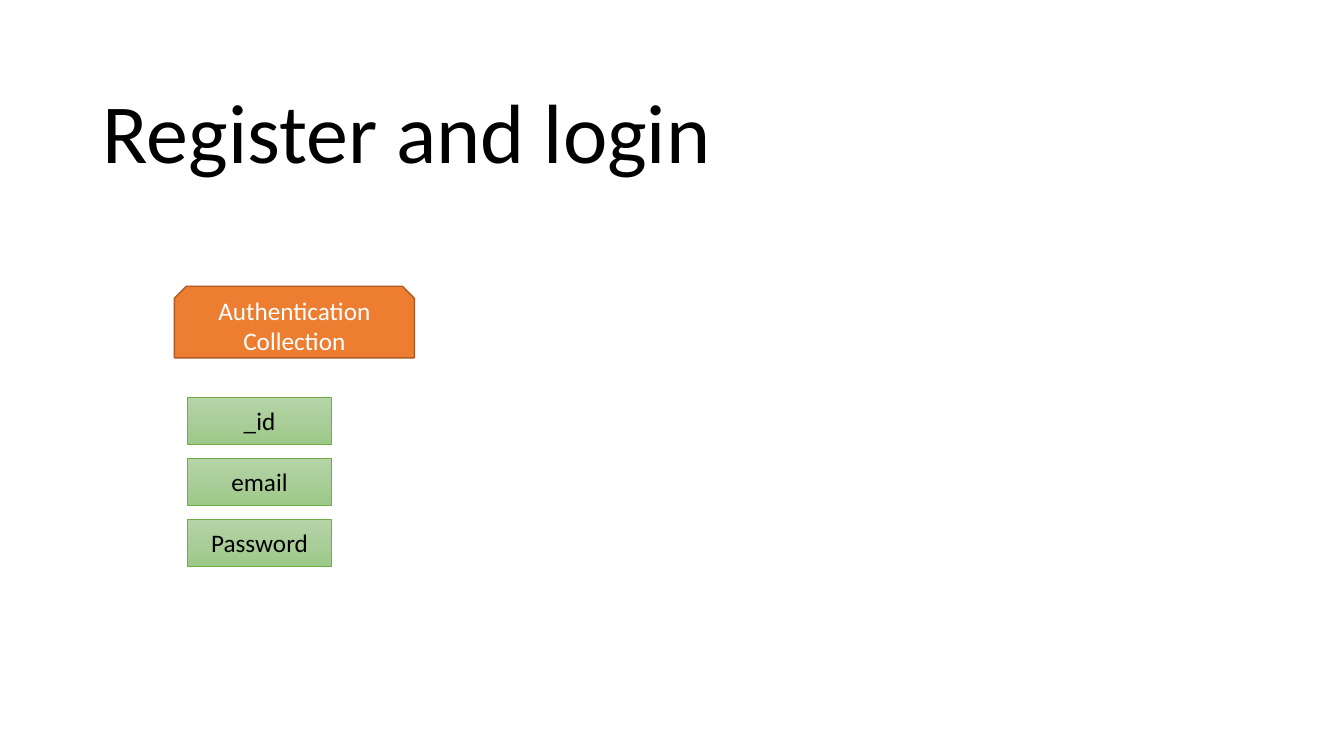
from copy import deepcopy

from pptx import Presentation
from pptx.dml.color import RGBColor
from pptx.enum.shapes import MSO_SHAPE
from pptx.enum.text import MSO_ANCHOR, PP_ALIGN
from pptx.oxml.ns import qn
from pptx.util import Inches, Pt

FIELD_STOPS = ((0, "B5D5A7"), (0.5, "AACE9A"), (1, "9CC987"))


def color(hex_code):
    """Turn a hex string into a colour."""
    return RGBColor.from_string(hex_code)


def write(shape, text, size, hex_code, anchor, align):
    """Put one styled paragraph into a shape and return it."""
    frame = shape.text_frame
    frame.word_wrap = True
    frame.vertical_anchor = anchor
    paragraph = frame.paragraphs[0]
    paragraph.text = text
    paragraph.alignment = align
    paragraph.font.name = "Calibri"
    paragraph.font.size = Pt(size)
    paragraph.font.color.rgb = color(hex_code)
    return paragraph


def add_label(slide, kind, box, text, text_color, line_color, line_width):
    """Add an outlined shape with a centred label."""
    label = slide.shapes.add_shape(kind, *map(Inches, box))
    label.shadow.inherit = False
    label.line.color.rgb = color(line_color)
    label.line.width = Pt(line_width)
    write(label, text, 18, text_color, MSO_ANCHOR.MIDDLE, PP_ALIGN.CENTER)
    return label


def shade(shape, stops):
    """Fill a shape with a three-stop gradient from top to bottom."""
    shape.fill.gradient()
    shape.fill.gradient_angle = 270
    stop_list = shape.fill._xPr.find(".//" + qn("a:gsLst"))
    stop_list.insert(1, deepcopy(stop_list[0]))
    for stop, (position, hex_code) in zip(shape.fill.gradient_stops, stops):
        stop.position = position
        stop.color.rgb = color(hex_code)


def add_title(slide, box, text):
    """Add the slide title, resting on the bottom of its box."""
    title = slide.shapes.add_textbox(*map(Inches, box))
    paragraph = write(title, text, 60, "000000", MSO_ANCHOR.BOTTOM, PP_ALIGN.LEFT)
    paragraph.line_spacing = 0.9


def add_collection(slide, box, name, fields):
    """Add a collection: its fields in a column below a snipped header."""
    left, top, width, height = box
    header_height, field_height = 0.71, 0.47
    fields_top = top + 1.1
    pitch = (height - 1.1 - field_height) / (len(fields) - 1)
    for index, field in enumerate(fields):
        field_box = (left + 0.13, fields_top + index * pitch, 0.6 * width, field_height)
        field_label = add_label(slide, MSO_SHAPE.RECTANGLE, field_box, field,
                                "000000", "70AD47", 0.5)
        shade(field_label, FIELD_STOPS)
    header = add_label(slide, MSO_SHAPE.SNIP_2_SAME_RECTANGLE,
                       (left, top, width, header_height), name, "FFFFFF", "AF5C24", 1)
    header.fill.solid()
    header.fill.fore_color.rgb = color("ED7D31")


def main():
    """Build and save the slide."""
    deck = Presentation()
    deck.slide_width, deck.slide_height = Inches(13.33), Inches(7.5)
    slide = deck.slides.add_slide(deck.slide_layouts[6])
    add_collection(slide, (1.73, 2.84, 2.38, 2.78), "Authentication Collection",
                   ("_id", "email", "Password"))
    add_title(slide, (0.92, 0.4, 11.5, 1.45), "Register and login")
    deck.save("out.pptx")


main()
